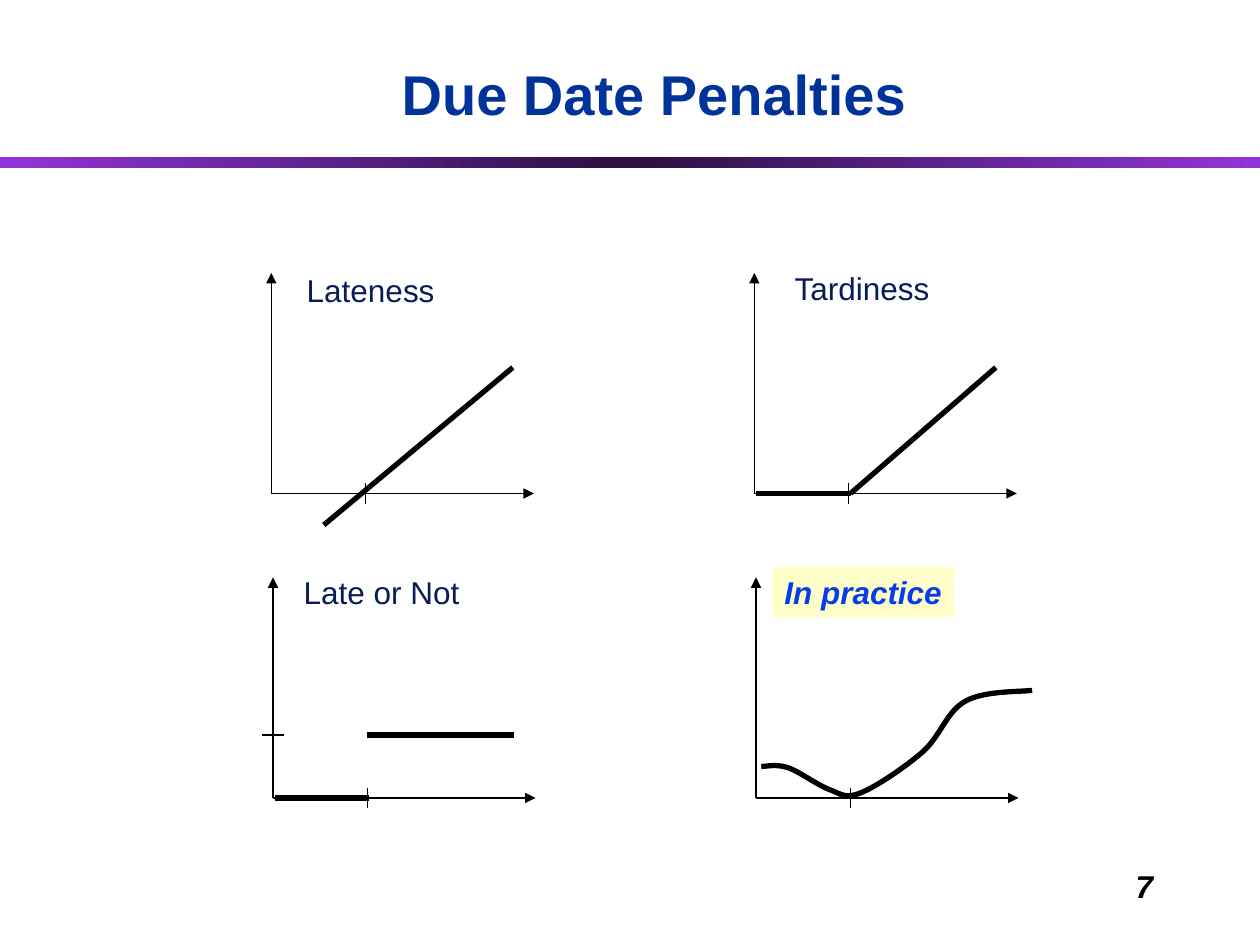
"""Build a slide of four due date penalty charts on a grid of 120 by 90 cells."""
from copy import deepcopy

from lxml import etree
from pptx import Presentation
from pptx import util as u
from pptx.dml.color import RGBColor
from pptx.enum import shapes, text
from pptx.oxml import ns

BLACK = RGBColor(0, 0, 0)
NAVY = RGBColor(0x08, 0x1D, 0x58)
BLUE = RGBColor(0x00, 0x33, 0x99)
BRIGHT = RGBColor(0x06, 0x3D, 0xE8)
CREAM = RGBColor(0xFF, 0xFF, 0xCC)
VIOLET = RGBColor(0x92, 0x34, 0xDB)
DUSK = RGBColor(0x2B, 0x10, 0x40)

THIN, THICK = 0.75, 3
UP, RIGHT, DUE, END = 21, 25, 9, 23
LEVEL = 6
START = 0.16

CURVE = [
    (0.5, 3),
    (1, 3), (1.9, 3.25), (3, 2.9),
    (4.1, 2.55), (5.8, 1.25), (7, 0.8),
    (8.2, 0.35), (8.5, -0.1), (10, 0.5),
    (11.5, 1.1), (14.3, 3), (16, 4.5),
    (17.6, 6), (18.2, 8.3), (20, 9.25),
    (21.7, 10.2), (25, 10.1), (26.3, 10.25),
]


class Deck:
    """Hold the grid, the font and the current slide."""

    font = "Arial"

    def __init__(self):
        self.prs = Presentation()
        self.prs.slide_width, self.prs.slide_height = u.Inches(10), u.Inches(7.5)
        self.cell = self.prs.slide_width // 120
        self.slide = self.prs.slides.add_slide(self.prs.slide_layouts[5])
        self.items = self.slide.shapes

    def grid(self, *cells):
        return [round(c * self.cell) for c in cells]

    def style(self, box, words, size, color, align, bold=False, slant=False):
        box.text_frame.text = words
        para = box.text_frame.paragraphs[0]
        para.alignment = align
        font = para.runs[0].font
        font.name, font.size = self.font, u.Pt(size)
        font.bold, font.italic = bold, slant
        font.color.rgb = color

    def title(self, words, *place):
        box = self.items.title
        box.left, box.top, box.width, box.height = self.grid(*place)
        self.style(box, words, 32, BLUE, text.PP_ALIGN.CENTER, bold=True)
        box.text_frame.vertical_anchor = text.MSO_ANCHOR.BOTTOM
        box.text_frame.auto_size = text.MSO_AUTO_SIZE.NONE

    def band(self, *place):
        bar = self.items.add_shape(shapes.MSO_SHAPE.RECTANGLE, *self.grid(*place))
        bar.shadow.inherit = False
        bar.line.fill.background()
        bar.fill.gradient()
        bar.fill.gradient_angle = 0
        first, last = bar.fill.gradient_stops
        first.color.rgb = last.color.rgb = VIOLET
        first.position, last.position = 0, 1
        stops = bar._element.spPr.find(".//" + ns.qn("a:gsLst"))
        stops.insert(1, deepcopy(stops[0]))
        middle = bar.fill.gradient_stops[1]
        middle.color.rgb, middle.position = DUSK, 0.5

    def number(self, words, *place):
        box = self.items.add_textbox(*self.grid(*place))
        box.text_frame.word_wrap = True
        self.style(box, words, 18, BLACK, text.PP_ALIGN.RIGHT, bold=True, slant=True)

    def label(self, words, place, color=NAVY, fill=None):
        box = self.items.add_textbox(*self.grid(*place))
        frame = box.text_frame
        frame.word_wrap = False
        frame.auto_size = text.MSO_AUTO_SIZE.SHAPE_TO_FIT_TEXT
        frame.vertical_anchor = text.MSO_ANCHOR.MIDDLE
        strong = fill is not None
        self.style(box, words, 18, color, text.PP_ALIGN.CENTER, strong, strong)
        if strong:
            box.fill.solid()
            box.fill.fore_color.rgb = fill

    def line(self, base, start, stop, width=THIN, arrow=False):
        (left, floor), (x1, y1), (x2, y2) = base, start, stop
        ends = self.grid(left + x1, floor - y1, left + x2, floor - y2)
        line = self.items.add_connector(shapes.MSO_CONNECTOR.STRAIGHT, *ends)
        line.line.color.rgb, line.line.width = BLACK, u.Pt(width)
        props = line._element.spPr
        if arrow:
            etree.SubElement(props.find(ns.qn("a:ln")), ns.qn("a:tailEnd"), type="triangle")
        etree.SubElement(props, ns.qn("a:effectLst"))

    def axes(self, base):
        self.line(base, (0, 0), (0, UP), arrow=True)
        self.line(base, (0, 0), (RIGHT, 0), arrow=True)
        self.line(base, (DUE, 1), (DUE, -1))

    def curve(self, base, points):
        left, floor = base
        spots = [self.grid(left + x, floor - y) for x, y in points]
        pen = self.items.build_freeform(*spots[0])
        pen.add_line_segments(spots[1:], close=False)
        shape = pen.convert_to_shape()
        shape.shadow.inherit = False
        shape.fill.background()
        shape.line.color.rgb, shape.line.width = BLACK, u.Pt(THICK)
        steps = shape._element.findall(".//" + ns.qn("a:lnTo"))
        for i in range(0, len(steps), 3):
            bend = etree.Element(ns.qn("a:cubicBezTo"))
            steps[i].addprevious(bend)
            for step in steps[i:i + 3]:
                bend.append(step[0])
                step.getparent().remove(step)


def main():
    deck = Deck()
    deck.band(0, 15, 120, 1)
    deck.number("7", 86, 82, 25, 6)
    deck.title("Due Date Penalties", 31, 3, 62.6, 9.7)

    late, tardy, step, real = (25.84, 47), (71.84, 47), (26, 76), (72, 76)
    for base in (late, tardy, step, real):
        deck.axes(base)

    deck.line(late, (5, -3), (END, 12), THICK)
    deck.line(tardy, (DUE + START, 0), (END, 12), THICK)
    for base in (tardy, step):
        deck.line(base, (DUE + START, 0), (START, 0), THICK)
    deck.line(step, (DUE, LEVEL), (END, LEVEL), THICK)
    deck.line(step, (-1, LEVEL), (1, LEVEL))
    deck.curve(real, CURVE)

    deck.label("In practice", (73.5, 54, 17.4, 4.8), BRIGHT, CREAM)
    deck.label("Tardiness", (74.3, 25, 15.6, 4.8))
    deck.label("Late or Not", (27.7, 54, 17.3, 4.8))
    deck.label("Lateness", (28, 25.2, 14.6, 4.8))
    deck.prs.save("out.pptx")


if __name__ == "__main__":
    main()
